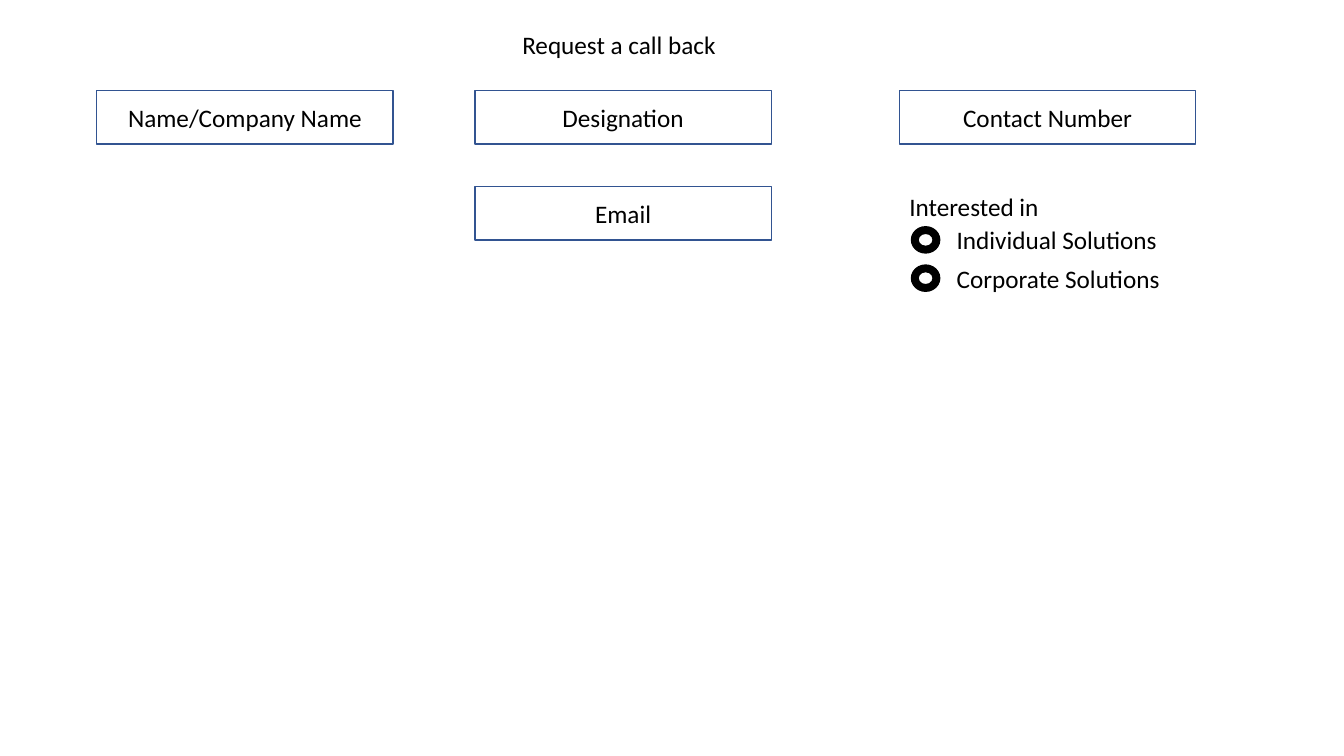
from pptx import Presentation
from pptx.dml.color import RGBColor
from pptx.enum.shapes import MSO_SHAPE
from pptx.enum.text import MSO_ANCHOR, MSO_AUTO_SIZE, PP_ALIGN
from pptx.util import Inches, Pt

BLACK, WHITE, BLUE = "000000", "FFFFFF", "325491"
FONT = {"name": "Calibri", "size": Pt(18), "bold": False}
LABEL_FRAME = {"word_wrap": True, "auto_size": MSO_AUTO_SIZE.SHAPE_TO_FIT_TEXT,
               "vertical_anchor": MSO_ANCHOR.TOP}
FIELD_FRAME = {"word_wrap": True, "vertical_anchor": MSO_ANCHOR.MIDDLE}

COLUMNS = (0.96, 4.71, 8.92)
ROWS = (0.9, 1.85)
LABEL_HEIGHT = 0.4
FIELDS = (
    ("Name/Company Name", 0, 0),
    ("Designation", 1, 0),
    ("Contact Number", 2, 0),
    ("Email", 1, 1),
)
OPTIONS = ("Individual Solutions", "Corporate Solutions")
OPTION_TOP, OPTION_STEP = 2.18, 0.38


def color(hex_value):
    return RGBColor.from_string(hex_value)


def apply(target, values):
    """Set each attribute named in values on the target."""
    for name, value in values.items():
        setattr(target, name, value)


class FormSlide:
    def __init__(self, deck):
        self.slide = deck.slides.add_slide(deck.slide_layouts.get_by_name("Title Only"))

    def fill_text(self, box, text, frame_format, alignment):
        frame = box.text_frame
        apply(frame, frame_format)
        para = frame.paragraphs[0]
        para.alignment = alignment
        span = para.add_run()
        span.text = text
        apply(span.font, FONT)
        span.font.color.rgb = color(BLACK)

    def title(self, text, left, top, width):
        box = self.slide.shapes.title
        apply(box, {"left": Inches(left), "top": Inches(top),
                    "width": Inches(width), "height": Inches(LABEL_HEIGHT)})
        self.fill_text(box, text, LABEL_FRAME, PP_ALIGN.LEFT)

    def label(self, text, left, top, width):
        box = self.slide.shapes.add_textbox(
            Inches(left), Inches(top), Inches(width), Inches(LABEL_HEIGHT))
        self.fill_text(box, text, LABEL_FRAME, PP_ALIGN.LEFT)

    def shape(self, kind, left, top, width, height, fill, line):
        shape = self.slide.shapes.add_shape(
            kind, Inches(left), Inches(top), Inches(width), Inches(height))
        shape.shadow.inherit = False
        shape.fill.solid()
        shape.fill.fore_color.rgb = color(fill)
        shape.line.color.rgb = color(line)
        shape.line.width = Pt(1)
        return shape

    def field(self, text, left, top):
        box = self.shape(MSO_SHAPE.RECTANGLE, left, top, 2.94, 0.53, WHITE, BLUE)
        self.fill_text(box, text, FIELD_FRAME, PP_ALIGN.CENTER)

    def option(self, text, top):
        """Add a radio button and its label."""
        self.shape(MSO_SHAPE.DONUT, 9.04, top + 0.07, 0.28, 0.26, BLACK, BLACK)
        self.label(text, 9.39, top, 2.58)


def main():
    deck = Presentation()
    deck.slide_width, deck.slide_height = Inches(13.33), Inches(7.5)
    page = FormSlide(deck)
    page.title("Request a call back", 5.08, 0.24, 2.19)
    for text, column, row in FIELDS:
        page.field(text, COLUMNS[column], ROWS[row])
    page.label("Interested in", COLUMNS[2], ROWS[1], 2.16)
    for index, text in enumerate(OPTIONS):
        page.option(text, OPTION_TOP + index * OPTION_STEP)
    deck.save("out.pptx")


if __name__ == "__main__":
    main()
